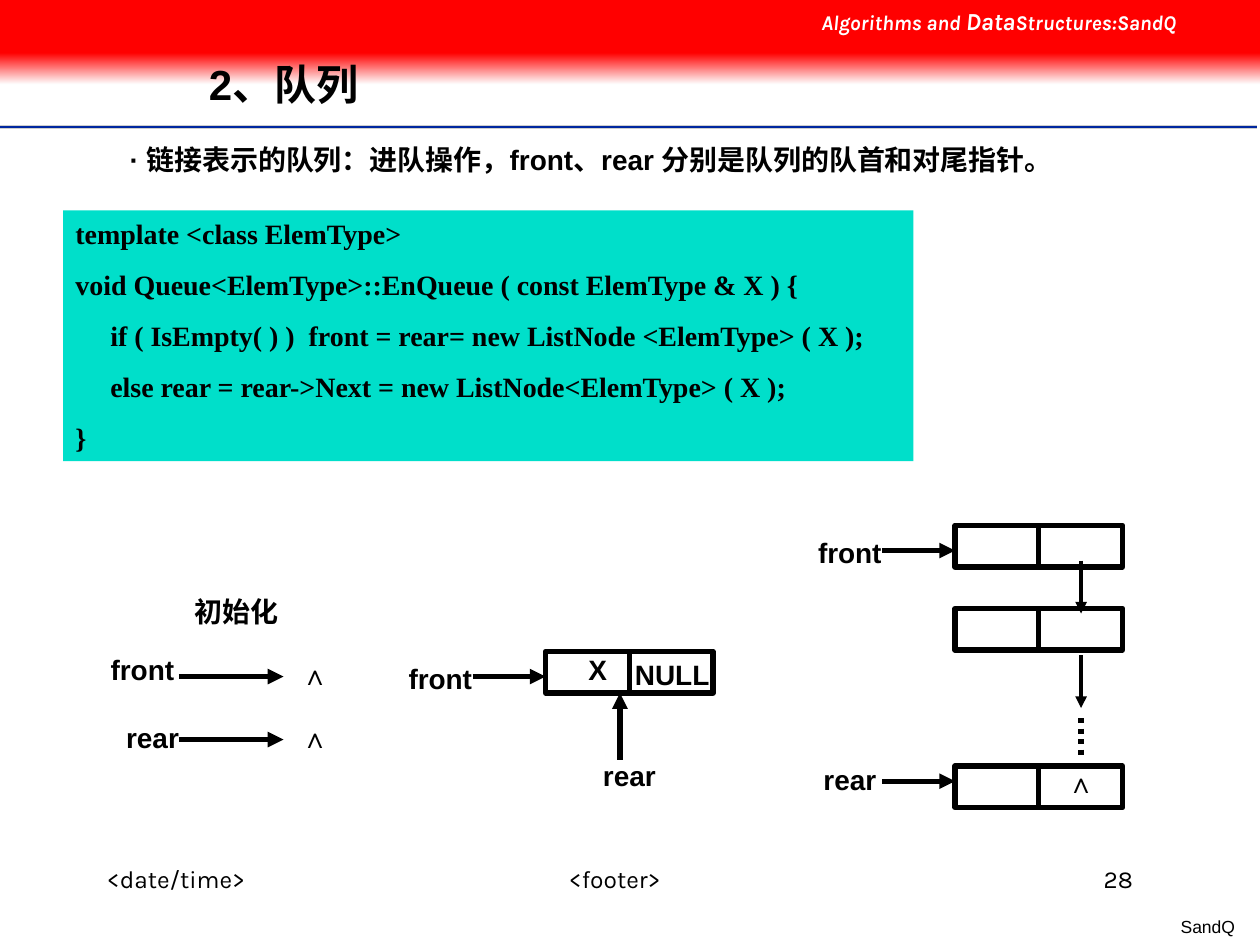
from lxml import etree
from pptx import Presentation
from pptx import util as u
from pptx.dml.color import RGBColor
from pptx.enum import dml, shapes, text
from pptx.oxml import ns

HUES = {"black": "000000", "white": "FFFFFF", "red": "FF0000",
        "pale": "FEFEFE", "teal": "00DFCA", "blue": "00279F", "gray": "CECECE"}
ALIGN = {"l": text.PP_ALIGN.LEFT, "c": text.PP_ALIGN.CENTER,
         "r": text.PP_ALIGN.RIGHT, "j": text.PP_ALIGN.JUSTIFY}
CODE = """template <class ElemType>
void Queue<ElemType>::EnQueue ( const ElemType & X ) {
     if ( IsEmpty( ) )  front = rear= new ListNode <ElemType> ( X );
     else rear = rear->Next = new ListNode<ElemType> ( X );
}"""
NODE_W, NODE_H = 1.33, 0.33


def rgb(name):
    return RGBColor.from_string(HUES[name])


def add_rect(slide, x, y, w, h, fill, line=None):
    rect = slide.shapes.add_shape(shapes.MSO_SHAPE.RECTANGLE, u.Inches(x),
                                  u.Inches(y), u.Inches(w), u.Inches(h))
    rect.shadow.inherit = False
    rect.fill.solid()
    rect.fill.fore_color.rgb = rgb(fill)
    if line:
        rect.line.color.rgb = rgb("black")
        rect.line.width = u.Pt(line)
    else:
        rect.line.fill.background()
    return rect


def add_line(slide, x1, y1, x2, y2, width=3, hue="black", head=False, dash=None):
    line = slide.shapes.add_connector(shapes.MSO_CONNECTOR.STRAIGHT, u.Inches(x1),
                                      u.Inches(y1), u.Inches(x2), u.Inches(y2))
    line.line.color.rgb = rgb(hue)
    line.line.width = u.Pt(width)
    if dash:
        line.line.dash_style = dash
    if head:
        etree.SubElement(line.line._get_or_add_ln(), ns.qn("a:tailEnd"), type="triangle")
    etree.SubElement(line._element.spPr, ns.qn("a:effectLst"))


def set_text(frame, words, size=16, font="Arial", hue="black", bold=True,
             italic=False, align="l", gap=0, middle=False, wrap=True, leading=None):
    """Write one paragraph per line; words is a string or a list of (string, size)."""
    frame.word_wrap = wrap
    frame.margin_left = frame.margin_right = u.Inches(0.1)
    frame.margin_top = frame.margin_bottom = u.Inches(0.05)
    frame.vertical_anchor = text.MSO_ANCHOR.MIDDLE if middle else text.MSO_ANCHOR.TOP
    rows = ([[(row, size)] for row in words.split("\n")]
            if isinstance(words, str) else [words])
    for i, row in enumerate(rows):
        para = frame.add_paragraph() if i else frame.paragraphs[0]
        para.alignment = ALIGN[align]
        if leading:
            para.line_spacing = leading
        if i and gap:
            para.space_before = u.Pt(gap)
        for part, points in row:
            run = para.add_run()
            run.text = part
            run.font.size = u.Pt(points)
            run.font.name = font
            run.font.bold = bold
            run.font.italic = italic
            run.font.color.rgb = rgb(hue)


def add_text(slide, words, x, y, w, h=0.37, **style):
    box = slide.shapes.add_textbox(u.Inches(x), u.Inches(y), u.Inches(w), u.Inches(h))
    set_text(box.text_frame, words, **style)


def add_node(slide, x, y):
    """List node: a box split into data and link."""
    add_rect(slide, x, y, NODE_W, NODE_H, "white", line=3)
    mid = x + NODE_W / 2
    add_line(slide, mid, y, mid, y + NODE_H)


def add_frame(slide):
    """Banner, rule and footer."""
    for y, width, hue in ((1.01, 2, "gray"), (1.01, 1, "blue"), (1.03, 1, "white")):
        add_line(slide, 0, y, 9.98, y, width, hue)
    fade = add_rect(slide, 0, 0.42, 10, 0.25, "red")
    fade.fill.gradient()
    fade.fill.gradient_angle = 270
    for stop, hue, place in zip(fade.fill.gradient_stops, ("red", "pale"), (0, 1)):
        stop.color.rgb = rgb(hue)
        stop.position = place
    add_rect(slide, 0, 0, 10, 0.42, "red")
    add_text(slide, [("Algorithms and ", 12), ("Data", 14), ("Structures:SandQ", 12)],
             6.42, 0, 3.58, 0.34, font="Karla", hue="white", italic=True)
    for words, x, w, align in (("<date/time>", 0.75, 1.92, "l"),
                               ("<footer>", 3.42, 2.92, "c"), ("28", 7.17, 1.92, "r")):
        add_text(slide, words, x, 6.81, w, 0.5, size=14, font="Karla",
                 bold=False, align=align)
    add_text(slide, "SandQ", 9.27, 7.22, 0.63, 0.27, size=10, bold=False,
             align="r", wrap=False)


def add_queues(slide):
    """Empty queue, queue of one node and longer queue."""
    for x, y in ((4.33, 5.17), (7.58, 4.17), (7.58, 4.83), (7.58, 6.08)):
        add_node(slide, x, y)
    for x1, x2, y in ((1.42, 2.25, 5.37), (1.42, 2.25, 5.87), (3.75, 4.33, 5.37),
                      (7, 7.58, 4.37), (7, 7.58, 6.2)):
        add_line(slide, x1, y, x2, y, head=True)
    add_line(slide, 4.92, 6.03, 4.92, 5.5, head=True)
    for y in (4.45, 5.2):
        add_line(slide, 8.58, y, 8.58, y + 0.42, width=2.25, head=True)
    add_line(slide, 8.58, 5.7, 8.58, 6.03, dash=dml.MSO_LINE.ROUND_DOT)
    for words, x, y, w in (
            ("初始化", 1.25, 4.67, 1.25),
            ("front", 0.67, 5.13, 0.92), ("rear", 0.75, 5.67, 0.92),
            ("∧", 2.25, 5.17, 0.5), ("∧", 2.25, 5.67, 0.5),
            ("front", 3.08, 5.2, 0.83), ("rear", 4.58, 5.97, 0.83),
            ("X", 4.33, 5.13, 0.83), ("NULL", 4.92, 5.17, 0.83),
            ("front", 6.33, 4.2, 0.83), ("rear", 6.33, 6, 0.83),
            ("∧", 8.33, 6.03, 0.5)):
        add_text(slide, words, x, y, w, align="c")


def main():
    deck = Presentation()
    deck.slide_width, deck.slide_height = u.Inches(10), u.Inches(7.5)
    slide = deck.slides.add_slide(deck.slide_layouts[6])
    add_frame(slide)
    add_text(slide, "2、队列", 1.56, 0.32, 7.55, 0.74, size=24, middle=True, leading=0.9)
    add_text(slide, "· 链接表示的队列：进队操作，front、rear 分别是队列的队首和对尾指针。",
             0.93, 1.08, 8.65)
    code = add_rect(slide, 0.5, 1.67, 6.75, 1.99, "teal")
    set_text(code.text_frame, CODE, font="Times New Roman", align="j", gap=10)
    add_queues(slide)
    deck.save("out.pptx")


if __name__ == "__main__":
    main()
